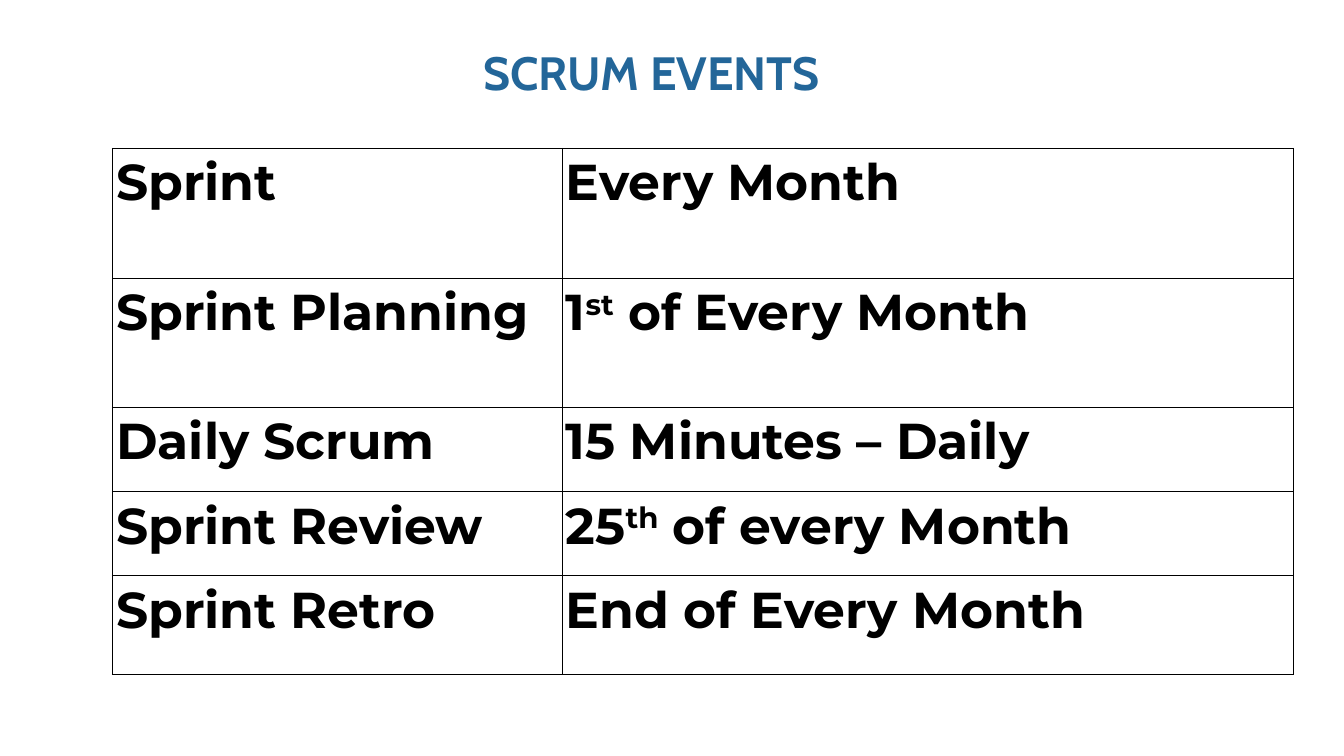
import dataclasses

import lxml.etree
import pptx
import pptx.dml.color
import pptx.enum.text
import pptx.oxml.ns
import pptx.util

Cm = pptx.util.Cm


@dataclasses.dataclass(frozen=True)
class Theme:
    title_color: str = "236699"
    text_color: str = "000000"
    border_color: str = "000000"
    background: str = "FFFFFF"
    title_font: str = "Cabin"
    table_font: str = "Montserrat"
    title_size: int = 50
    table_size: int = 54
    border_width: int = 1


theme = Theme()


def add_run(paragraph, text, font, size, color):
    run = paragraph.add_run()
    run.text = text
    run.font.name = font
    run.font.size = pptx.util.Pt(size)
    run.font.bold = True
    run.font.color.rgb = pptx.dml.color.RGBColor.from_string(color)
    return run


def add_borders(cell):
    properties = cell._tc.get_or_add_tcPr()
    for position, side in enumerate(("lnL", "lnR", "lnT", "lnB")):
        line = lxml.etree.Element(pptx.oxml.ns.qn(f"a:{side}"))
        line.set("w", str(pptx.util.Pt(theme.border_width)))
        fill = lxml.etree.SubElement(line, pptx.oxml.ns.qn("a:solidFill"))
        color = lxml.etree.SubElement(fill, pptx.oxml.ns.qn("a:srgbClr"))
        color.set("val", theme.border_color)
        properties.insert(position, line)


presentation = pptx.Presentation()
presentation.slide_width = Cm(50.8)
presentation.slide_height = Cm(28.58)
slide = presentation.slides.add_slide(presentation.slide_layouts[5])

title = slide.shapes.title
title.left, title.top, title.width, title.height = Cm(18.26), Cm(1.65), Cm(14.3), Cm(2.13)
frame = title.text_frame
frame.margin_left = frame.margin_top = frame.margin_right = frame.margin_bottom = 0
frame.vertical_anchor = pptx.enum.text.MSO_ANCHOR.TOP
frame.auto_size = pptx.enum.text.MSO_AUTO_SIZE.SHAPE_TO_FIT_TEXT
frame.word_wrap = True
paragraph = frame.paragraphs[0]
paragraph.alignment = pptx.enum.text.PP_ALIGN.LEFT
add_run(paragraph, "SCRUM EVENTS", theme.title_font, theme.title_size, theme.title_color)

events = [
    ("Sprint", ["Every Month"], 4.9),
    ("Sprint Planning", ["1", "st", " of Every Month"], 4.9),
    ("Daily Scrum", ["15 Minutes – Daily"], 3.18),
    ("Sprint Review", ["25", "th", " of every Month"], 3.18),
    ("Sprint Retro", ["End of Every Month"], 3.73),
]
column_widths = [17, 27.66]

table_shape = slide.shapes.add_table(
    len(events), len(column_widths), Cm(4.24), Cm(5.61),
    Cm(sum(column_widths)), Cm(sum(height for _, _, height in events)),
)
table = table_shape.table
table.first_row = False
table.horz_banding = False
for column, width in zip(table.columns, column_widths):
    column.width = Cm(width)

for row_index, (event, timing, height) in enumerate(events):
    table.rows[row_index].height = Cm(height)
    for column_index, texts in enumerate(([event], timing)):
        cell = table.cell(row_index, column_index)
        cell.fill.solid()
        cell.fill.fore_color.rgb = pptx.dml.color.RGBColor.from_string(theme.background)
        cell.margin_left = cell.margin_right = Cm(0.15)
        cell.margin_top = cell.margin_bottom = Cm(0.13)
        add_borders(cell)
        paragraph = cell.text_frame.paragraphs[0]
        for text in texts:
            run = add_run(paragraph, text, theme.table_font, theme.table_size, theme.text_color)
            if text in ("st", "th"):
                run.font._element.set("baseline", "30000")

presentation.save("out.pptx")
